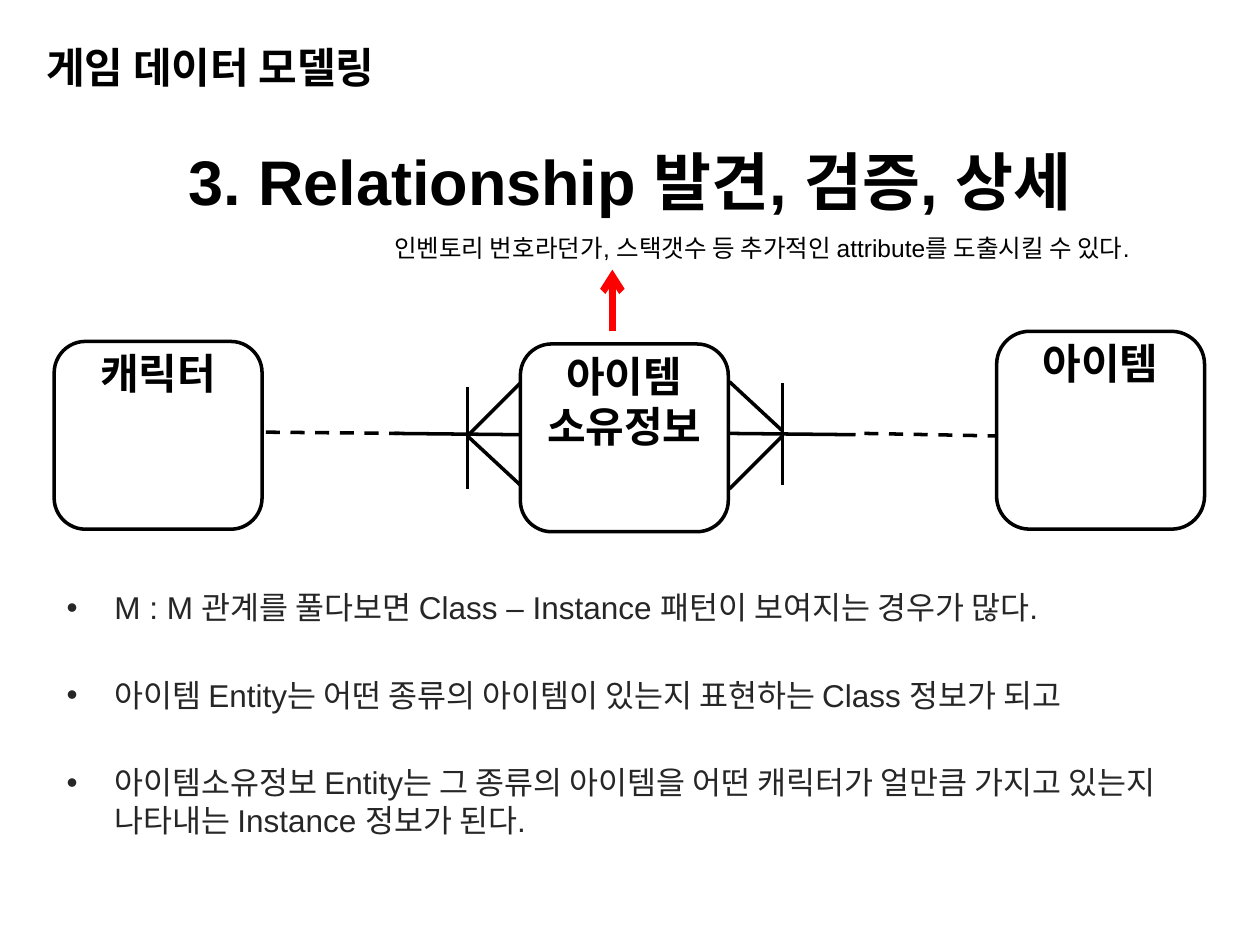
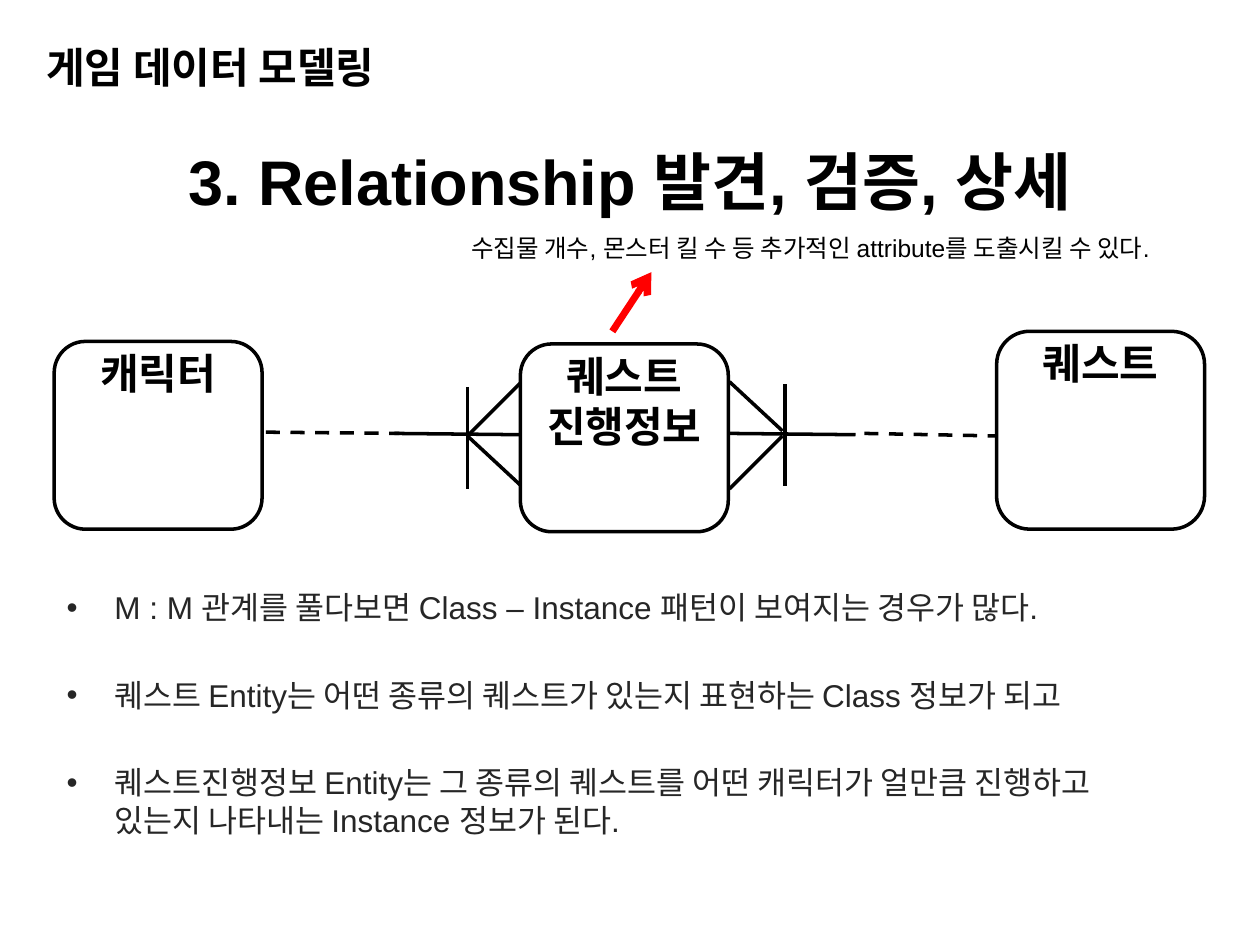
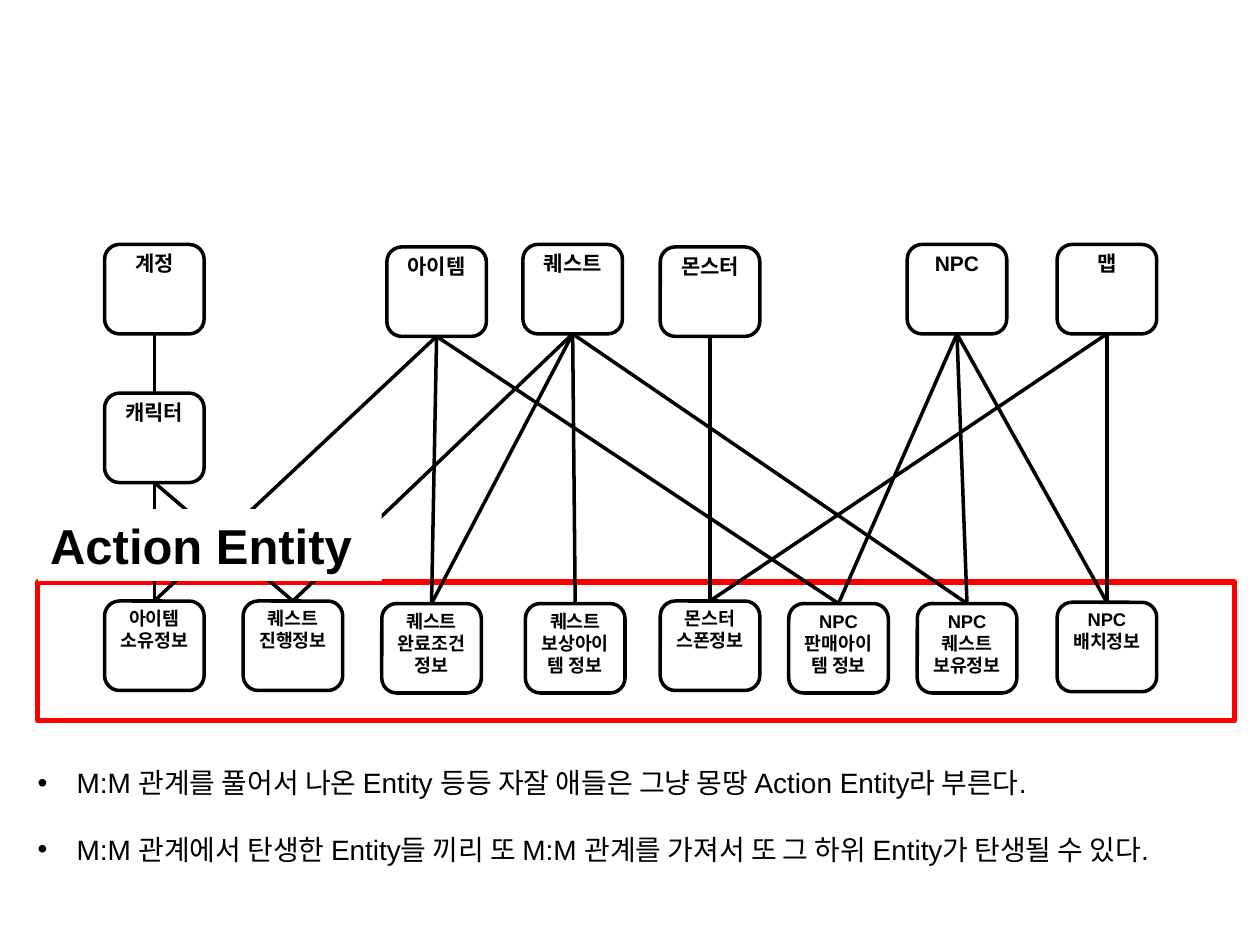
"""Builds three slides on resolving many-to-many relationships in game data models."""
import dataclasses
import typing

import lxml.etree
import pptx
import pptx.dml.color
import pptx.enum.dml
import pptx.enum.shapes
import pptx.enum.text
import pptx.oxml.ns
import pptx.util

Inches = pptx.util.Inches
Pt = pptx.util.Pt
RGB = pptx.dml.color.RGBColor
SHAPE = pptx.enum.shapes.MSO_SHAPE
ALIGN = pptx.enum.text.PP_ALIGN
ANCHOR = pptx.enum.text.MSO_ANCHOR
qn = pptx.oxml.ns.qn


class Point(typing.NamedTuple):
    x: float
    y: float


class Box(typing.NamedTuple):
    left: float
    top: float
    width: float
    height: float

    def lengths(self) -> list:
        return [Inches(v) for v in self]


class Stroke(typing.NamedTuple):
    start: Point
    end: Point
    dashed: bool = False


class Entity(typing.NamedTuple):
    label: str
    box: Box

    def top_centre(self) -> Point:
        return Point(self.box.left + self.box.width / 2, self.box.top)

    def bottom_centre(self) -> Point:
        return Point(self.box.left + self.box.width / 2, self.box.top + self.box.height)


@dataclasses.dataclass(frozen=True)
class Theme:
    black: RGB = RGB(0, 0, 0)
    grey: RGB = RGB(0x26, 0x26, 0x26)
    red: RGB = RGB(0xFF, 0, 0)
    white: RGB = RGB(0xFF, 0xFF, 0xFF)
    font: str = "Arial"
    title: float = 36
    tag: float = 28
    heading: float = 24
    body: float = 18
    summary: float = 16
    note: float = 14
    parent: float = 12
    action: float = 10.5
    line: float = 2
    frame: float = 3
    arrow: float = 4


THEME = Theme()


@dataclasses.dataclass(frozen=True)
class PatternSlide:
    middle: str
    right: str
    note: str
    note_left: float
    note_width: float
    arrow_end: Point
    right_bar: Point
    bullets: tuple[str, ...]


PATTERNS = (
    PatternSlide(
        "아이템\n소유정보", "아이템",
        "인벤토리 번호라던가, 스택갯수 등 추가적인 attribute를 도출시킬 수 있다.",
        3.03, 6.46, Point(4.86, 2.14), Point(6.21, 3.04),
        ("M : M 관계를 풀다보면 Class – Instance 패턴이 보여지는 경우가 많다.",
         "아이템 Entity는 어떤 종류의 아이템이 있는지 표현하는 Class 정보가 되고",
         "아이템소유정보 Entity는 그 종류의 아이템을 어떤 캐릭터가 얼만큼 가지고 "
         "있는지 나타내는 Instance 정보가 된다.")),
    PatternSlide(
        "퀘스트\n진행정보", "퀘스트",
        "수집물 개수, 몬스터 킬 수 등 추가적인 attribute를 도출시킬 수 있다.",
        3.64, 6.1, Point(5.17, 2.16), Point(6.23, 3.05),
        ("M : M 관계를 풀다보면 Class – Instance 패턴이 보여지는 경우가 많다.",
         "퀘스트 Entity는 어떤 종류의 퀘스트가 있는지 표현하는 Class 정보가 되고",
         "퀘스트진행정보 Entity는 그 종류의 퀘스트를 어떤 캐릭터가 얼만큼 진행하고 "
         "있는지 나타내는 Instance 정보가 된다.")),
)

BAR_HEIGHT = 0.81
LEFT_BAR = Point(3.71, 3.07)
RELATION = (
    Stroke(Point(3.71, 3.46), Point(4.13, 3.04)),
    Stroke(Point(3.71, 3.46), Point(4.13, 3.85)),
    Stroke(Point(5.79, 3.88), Point(6.21, 3.46)),
    Stroke(Point(5.79, 3.03), Point(6.21, 3.42)),
    Stroke(Point(4.14, 3.45), Point(3.13, 3.44)),
    Stroke(Point(6.79, 3.45), Point(5.79, 3.44)),
    Stroke(Point(2.11, 3.43), Point(3.17, 3.44), True),
    Stroke(Point(6.86, 3.44), Point(7.91, 3.46), True),
)

PARENTS = {
    "계정": Point(0.83, 1.94), "캐릭터": Point(0.83, 3.12),
    "아이템": Point(3.07, 1.96), "퀘스트": Point(4.15, 1.94),
    "몬스터": Point(5.24, 1.96), "NPC": Point(7.2, 1.94), "맵": Point(8.39, 1.94),
}
ACTIONS = {
    "아이템 소유정보": Point(0.83, 4.77), "퀘스트 진행정보": Point(1.93, 4.77),
    "퀘스트 완료조건 정보": Point(3.03, 4.79), "퀘스트 보상아이템 정보": Point(4.17, 4.79),
    "몬스터\n스폰정보": Point(5.24, 4.77), "NPC\n판매아이템 정보": Point(6.26, 4.79),
    "NPC\n퀘스트\n보유정보": Point(7.28, 4.79), "NPC\n배치정보": Point(8.39, 4.78),
}
LINKS = {
    "계정": ("캐릭터",),
    "캐릭터": ("아이템 소유정보", "퀘스트 진행정보"),
    "아이템": ("아이템 소유정보", "퀘스트 완료조건 정보", "NPC\n판매아이템 정보"),
    "퀘스트": ("퀘스트 진행정보", "퀘스트 완료조건 정보", "퀘스트 보상아이템 정보",
            "NPC\n퀘스트\n보유정보"),
    "몬스터": ("몬스터\n스폰정보",),
    "NPC": ("NPC\n판매아이템 정보", "NPC\n퀘스트\n보유정보", "NPC\n배치정보"),
    "맵": ("몬스터\n스폰정보", "NPC\n배치정보"),
}
SUMMARY = (
    "M:M 관계를 풀어서 나온 Entity 등등 자잘 애들은 그냥 몽땅 Action Entity라 부른다.",
    "M:M 관계에서 탄생한 Entity들 끼리 또 M:M 관계를 가져서 또 그 하위 Entity가 탄생될 수 있다.",
)


def write(sp, lines: typing.Sequence[str], size: float, bold: bool = False,
          color: RGB = THEME.black, align=ALIGN.LEFT, anchor=ANCHOR.TOP) -> None:
    """Fills a shape with one paragraph for each line."""
    tf = sp.text_frame
    tf.word_wrap = True
    tf.vertical_anchor = anchor
    fmt = {"name": THEME.font, "size": Pt(size), "bold": bold}
    for i, line in enumerate(lines):
        p = tf.add_paragraph() if i else tf.paragraphs[0]
        p.alignment = align
        r = p.add_run()
        r.text = line
        for key, value in fmt.items():
            setattr(r.font, key, value)
        r.font.color.rgb = color


def add_text(shapes, box: Box, text: str, size: float, **fmt):
    """Adds a text box whose line breaks start new paragraphs."""
    sp = shapes.add_textbox(*box.lengths())
    write(sp, text.split("\n"), size, **fmt)
    return sp


def add_bullets(s, box: Box, items: typing.Sequence[str], size: float,
                color: RGB, indent: float, gap: float) -> None:
    """Adds a bulleted list with a hanging indent."""
    sp = add_text(s.shapes, box, "\n".join(items), size, color=color)
    for i, p in enumerate(sp.text_frame.paragraphs):
        if i:
            p.space_before = Pt(gap)
        pPr = p._p.get_or_add_pPr()
        pPr.set("marL", str(Inches(indent)))
        pPr.set("indent", str(-Inches(indent)))
        lxml.etree.SubElement(pPr, qn("a:buFont")).set("typeface", THEME.font)
        lxml.etree.SubElement(pPr, qn("a:buChar")).set("char", "•")


def add_outline(shapes, kind, box: Box, color: RGB, width: float) -> None:
    """Adds an unfilled outline shape."""
    sp = shapes.add_shape(kind, *box.lengths())
    sp.shadow.inherit = False
    sp.fill.background()
    sp.line.color.rgb = color
    sp.line.width = Pt(width)


def add_entity(s, entity: Entity, size: float) -> None:
    """Adds a rounded entity box grouped with its label."""
    shapes = s.shapes.add_group_shape().shapes
    add_outline(shapes, SHAPE.ROUNDED_RECTANGLE, entity.box, THEME.black, THEME.line)
    add_text(shapes, entity.box, entity.label, size, bold=True, align=ALIGN.CENTER)


def add_stroke(s, stroke: Stroke, color: RGB = THEME.black,
               width: float = THEME.line, arrow: bool = False) -> None:
    """Adds a straight line, optionally dashed or with an arrowhead."""
    ends = [Inches(v) for v in (*stroke.start, *stroke.end)]
    cn = s.shapes.add_connector(pptx.enum.shapes.MSO_CONNECTOR.STRAIGHT, *ends)
    cn.line.color.rgb = color
    cn.line.width = Pt(width)
    if stroke.dashed:
        cn.line.dash_style = pptx.enum.dml.MSO_LINE.DASH
    if arrow:
        ln = cn.line._get_or_add_ln()
        lxml.etree.SubElement(ln, qn("a:tailEnd")).set("type", "arrow")
    lxml.etree.SubElement(cn._element.spPr, qn("a:effectLst"))


def build_pattern(s, content: PatternSlide) -> None:
    """Builds a slide that resolves one relationship into an action entity."""
    add_text(s.shapes, Box(0, 0.84, 10, 1.18), "3. Relationship 발견, 검증, 상세",
             THEME.title, bold=True, align=ALIGN.CENTER, anchor=ANCHOR.MIDDLE)
    add_text(s.shapes, Box(0.27, 0.28, 4.57, 0.55), "게임 데이터 모델링",
             THEME.heading, bold=True)
    for entity in (Entity("캐릭터", Box(0.43, 2.71, 1.65, 1.49)),
                   Entity(content.middle, Box(4.13, 2.73, 1.65, 1.49)),
                   Entity(content.right, Box(7.91, 2.63, 1.65, 1.57))):
        add_entity(s, entity, THEME.heading)
    bars = [Stroke(bar, Point(bar.x, bar.y + BAR_HEIGHT))
            for bar in (LEFT_BAR, content.right_bar)]
    for stroke in (*RELATION, *bars):
        add_stroke(s, stroke)
    add_stroke(s, Stroke(Point(4.86, 2.63), content.arrow_end),
               THEME.red, THEME.arrow, arrow=True)
    add_text(s.shapes, Box(content.note_left, 1.8, content.note_width, 0.34),
             content.note, THEME.note)
    add_bullets(s, Box(0.43, 4.62, 9.06, 2.44), content.bullets,
                THEME.body, THEME.grey, indent=0.38, gap=28.4)


def build_overview(s) -> None:
    """Builds the map of parent entities and the action entities below them."""
    add_outline(s.shapes, SHAPE.RECTANGLE, Box(0.3, 4.62, 9.5, 1.1),
                THEME.red, THEME.frame)
    entities = {}
    for row, size in ((PARENTS, THEME.parent), (ACTIONS, THEME.action)):
        for label, corner in row.items():
            entities[label] = Entity(label, Box(*corner, 0.79, 0.71))
            add_entity(s, entities[label], size)
    for parent, children in LINKS.items():
        for child in children:
            add_stroke(s, Stroke(entities[parent].bottom_centre(),
                                 entities[child].top_centre()))
    add_bullets(s, Box(0.2, 6.03, 9.8, 0.91), SUMMARY,
                THEME.summary, THEME.black, indent=0.31, gap=18.6)
    tag = s.shapes.add_shape(SHAPE.RECTANGLE, *Box(0.3, 4.04, 2.73, 0.57).lengths())
    tag.shadow.inherit = False
    tag.fill.solid()
    tag.fill.fore_color.rgb = THEME.white
    tag.line.fill.background()
    write(tag, ["Action Entity"], THEME.tag, bold=True)


def main() -> None:
    """Builds and saves the deck."""
    prs = pptx.Presentation()
    prs.slide_width, prs.slide_height = Inches(10), Inches(7.5)
    blank = prs.slide_layouts[6]
    for content in PATTERNS:
        build_pattern(prs.slides.add_slide(blank), content)
    build_overview(prs.slides.add_slide(blank))
    prs.save("out.pptx")


if __name__ == "__main__":
    main()
